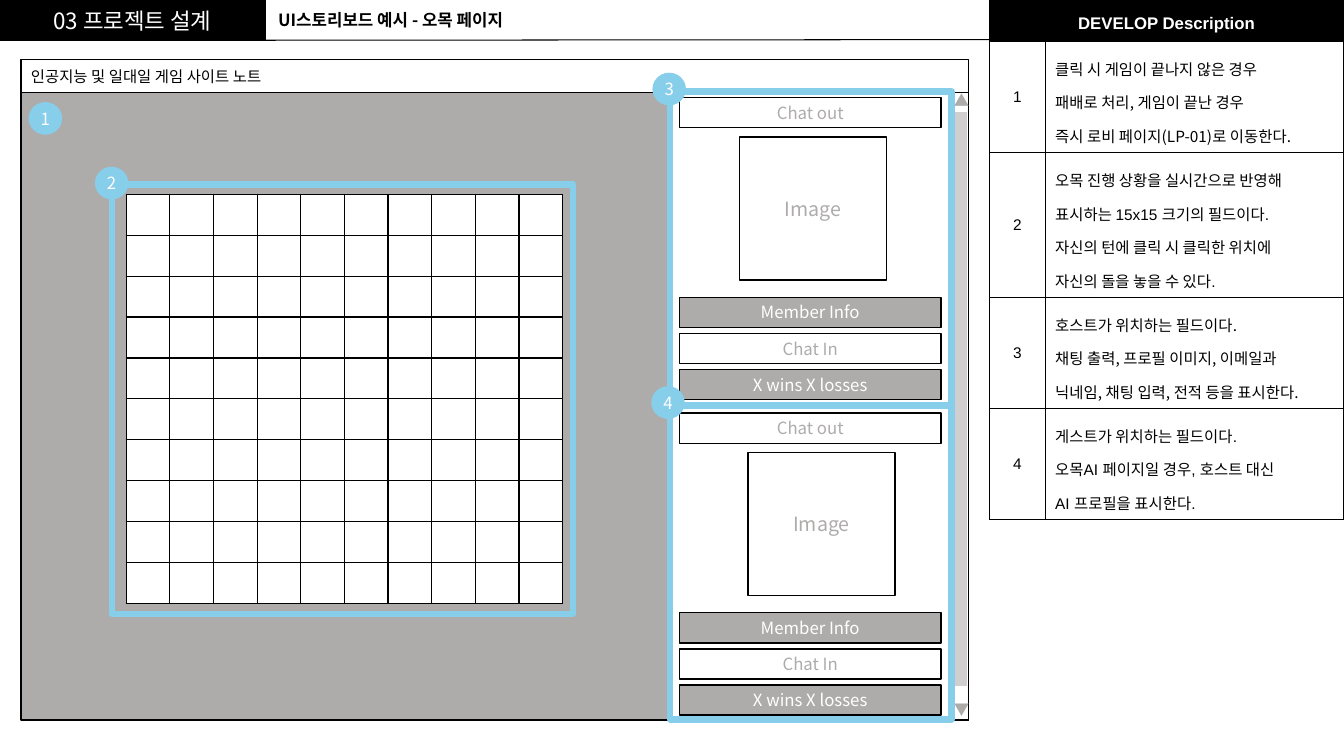
from dataclasses import dataclass

from lxml.etree import SubElement
from pptx import Presentation
from pptx.dml.color import RGBColor
from pptx.enum.shapes import MSO_CONNECTOR, MSO_SHAPE
from pptx.enum.text import MSO_ANCHOR, PP_ALIGN
from pptx.oxml import parse_xml
from pptx.oxml.ns import nsdecls, qn
from pptx.util import Cm, Pt


@dataclass(frozen=True)
class Theme:
    black: str = "000000"
    white: str = "FFFFFF"
    gray: str = "AEABAB"
    track: str = "D0CECE"
    accent: str = "87CEEB"
    korean: str = "Noto Sans CJK KR"
    latin: str = "Arial"
    small: int = 11
    body: int = 12
    large: int = 14
    heading: int = 16
    thin: float = 0.75
    line: float = 1
    frame: float = 4.5


class Storyboard:
    def __init__(self, page, theme):
        self.page = page
        self.theme = theme

    def set_text(self, frame, text, size, color, align=PP_ALIGN.LEFT, bold=False,
                 latin=None, spacing=None):
        """Fill a text frame, one paragraph for each line of text."""
        frame.text = text
        for para in frame.paragraphs:
            para.alignment = align
            if spacing:
                para.line_spacing = spacing
            font = para.font
            font.size, font.bold = Pt(size), bold
            font.name = latin or self.theme.korean
            font.color.rgb = RGBColor.from_string(color)
            defaults = para._p.pPr.find(qn("a:defRPr"))
            SubElement(defaults, qn("a:ea")).set("typeface", self.theme.korean)

    def shape(self, left, top, width, height, fill=None, line=None, weight=None,
              kind=MSO_SHAPE.RECTANGLE):
        box = self.page.shapes.add_shape(kind, Cm(left), Cm(top), Cm(width), Cm(height))
        box.shadow.inherit = False
        if fill:
            box.fill.solid()
            box.fill.fore_color.rgb = RGBColor.from_string(fill)
        else:
            box.fill.background()
        box.line.color.rgb = RGBColor.from_string(line or self.theme.black)
        box.line.width = Pt(weight or self.theme.line)
        return box

    def label(self, left, top, width, height, text, size, fill, color,
              align=PP_ALIGN.CENTER):
        box = self.shape(left, top, width, height, fill)
        box.text_frame.vertical_anchor = MSO_ANCHOR.MIDDLE
        self.set_text(box.text_frame, text, size, color, align)

    def text(self, left, top, width, height, text, size, color, bold=False):
        box = self.page.shapes.add_textbox(Cm(left), Cm(top), Cm(width), Cm(height))
        box.text_frame.word_wrap = True
        self.set_text(box.text_frame, text, size, color, bold=bold)

    def highlight(self, left, top, width, height):
        self.shape(left, top, width, height, line=self.theme.accent,
                   weight=self.theme.frame)

    def badge(self, left, top, number):
        theme = self.theme
        box = self.shape(left, top, 0.81, 0.79, theme.accent, theme.accent,
                         kind=MSO_SHAPE.FLOWCHART_CONNECTOR)
        frame = box.text_frame
        frame.margin_left = frame.margin_right = 0
        frame.margin_top = frame.margin_bottom = 0
        frame.word_wrap = False
        frame.vertical_anchor = MSO_ANCHOR.MIDDLE
        self.set_text(frame, str(number), theme.body, theme.white, PP_ALIGN.CENTER)

    def rule(self, left, top, right, bottom):
        line = self.page.shapes.add_connector(
            MSO_CONNECTOR.STRAIGHT, Cm(left), Cm(top), Cm(right), Cm(bottom))
        line.line.color.rgb = RGBColor.from_string(self.theme.black)
        line.line.width = Pt(self.theme.thin)
        SubElement(line._element.spPr, qn("a:effectLst"))

    def table(self, left, top, widths, heights):
        """Add a white table with black borders."""
        table = self.page.shapes.add_table(
            len(heights), len(widths), Cm(left), Cm(top),
            Cm(sum(widths)), Cm(sum(heights))).table
        table.first_row = table.horz_banding = False
        for column, width in zip(table.columns, widths):
            column.width = Cm(width)
        for row, height in zip(table.rows, heights):
            row.height = Cm(height)
        for cell in table.iter_cells():
            self.fill_cell(cell, self.theme.white)
            properties = cell._tc.get_or_add_tcPr()
            for index, side in enumerate("LRTB"):
                properties.insert(index, parse_xml(
                    f'<a:ln{side} {nsdecls("a")} w="{Pt(self.theme.line)}"><a:solidFill>'
                    f'<a:srgbClr val="{self.theme.black}"/></a:solidFill></a:ln{side}>'))
        return table

    def fill_cell(self, cell, color):
        cell.fill.solid()
        cell.fill.fore_color.rgb = RGBColor.from_string(color)

    def descriptions(self, left, top, title, entries):
        theme = self.theme
        heights = [1.04] + [0.25 + 0.85 * len(lines) for lines, _ in entries]
        table = self.table(left, top, (1.4, 7.52), heights)
        header = table.cell(0, 0)
        header.merge(table.cell(0, 1))
        self.fill_cell(header, theme.black)
        self.set_text(header.text_frame, title, theme.body, theme.white,
                      PP_ALIGN.CENTER, True, theme.latin, 1.5)
        for number, (lines, latin) in enumerate(entries, 1):
            key, detail = table.cell(number, 0), table.cell(number, 1)
            key.vertical_anchor = MSO_ANCHOR.MIDDLE
            self.set_text(key.text_frame, str(number), theme.small, theme.black,
                          PP_ALIGN.CENTER, latin=theme.latin)
            self.set_text(detail.text_frame, "\n".join(lines), theme.small, theme.black,
                          latin=latin, spacing=1.5)

    def board(self, left, top, count):
        table = self.table(left, top, [1.1] * count, [1.03] * count)
        for cell in table.iter_cells():
            cell.margin_top = cell.margin_bottom = 0

    def player(self, top, image_left):
        """Draw the chat, image and record fields of one player."""
        theme = self.theme
        empty, filled = (theme.white, theme.gray), (theme.gray, theme.white)
        self.label(image_left, top + 1.14, 3.71, 3.61, "Image", theme.large, *empty)
        fields = (("Chat out", 0.15, empty), ("Member Info", 5.18, filled),
                  ("Chat In", 6.09, empty), ("X wins X losses", 7, filled))
        for text, offset, colors in fields:
            self.label(17.12, top + offset, 6.6, 0.76, text, theme.body, *colors)


def main():
    deck = Presentation()
    deck.slide_width, deck.slide_height = Cm(33.87), Cm(19.05)
    theme = Theme()
    story = Storyboard(deck.slides.add_slide(deck.slide_layouts[6]), theme)

    story.shape(0.53, 2.31, 23.88, 15.83, theme.gray)
    story.descriptions(24.94, 0, "DEVELOP Description", (
        (("클릭 시 게임이 끝나지 않은 경우", "패배로 처리, 게임이 끝난 경우",
          "즉시 로비 페이지(LP-01)로 이동한다."), theme.korean),
        (("오목 진행 상황을 실시간으로 반영해", "표시하는 15x15 크기의 필드이다.",
          "자신의 턴에 클릭 시 클릭한 위치에", "자신의 돌을 놓을 수 있다."), theme.latin),
        (("호스트가 위치하는 필드이다.", "채팅 출력, 프로필 이미지, 이메일과",
          "닉네임, 채팅 입력, 전적 등을 표시한다."), theme.korean),
        (("게스트가 위치하는 필드이다.", "오목AI 페이지일 경우, 호스트 대신",
          "AI 프로필을 표시한다."), theme.latin)))
    story.label(0.53, 1.5, 23.88, 0.83, "인공지능 및 일대일 게임 사이트 노트",
                theme.small, theme.white, theme.black, PP_ALIGN.LEFT)

    story.board(3.18, 4.9, 10)
    story.highlight(2.82, 4.65, 11.63, 10.82)

    for top, height in ((2.33, 15.82), (10.26, 7.87)):
        story.shape(16.94, top, 7.47, height, theme.white)
    story.shape(23.98, 2.8, 0.4, 14.5, theme.track, theme.white)
    story.text(23.79, 17.52, 0.8, 0.73, "▼", theme.small, theme.gray)
    story.text(23.79, 2.18, 0.8, 0.73, "▲", theme.small, theme.gray)

    for top, image_left in ((2.31, 18.64), (10.26, 18.85)):
        story.player(top, image_left)
    for top in (2.31, 10.21):
        story.highlight(16.89, top, 7.09, 7.92)
    badges = ((0.74, 2.59), (2.41, 4.22), (16.46, 1.85), (16.43, 9.75))
    for number, (left, top) in enumerate(badges, 1):
        story.badge(left, top, number)

    story.label(0, 0, 6.68, 1.02, "03 프로젝트 설계", theme.heading,
                theme.black, theme.white)
    story.rule(0, 1.02, 33.87, 0.99)
    story.text(6.76, 0.13, 7.62, 0.76, "UI스토리보드 예시 - 오목 페이지",
               theme.body, theme.black, bold=True)
    deck.save("out.pptx")


if __name__ == "__main__":
    main()
